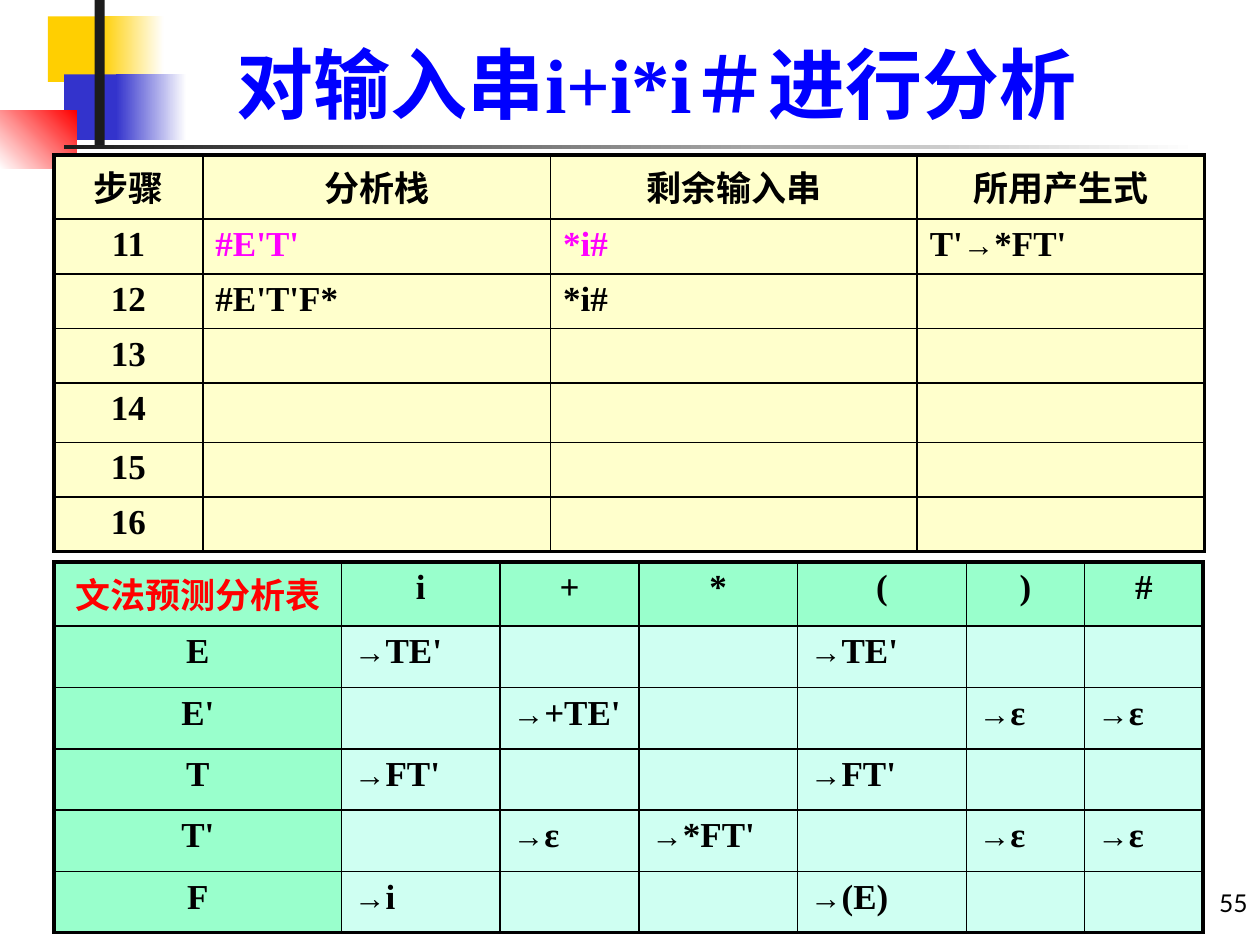
from dataclasses import dataclass

from pptx import Presentation, util as u
from pptx.dml.color import RGBColor
from pptx.enum import shapes, text
from pptx.oxml import parse_xml
from pptx.oxml.ns import nsdecls

# Slide grid: 100 columns by 75 rows of square units
WIDE, HIGH = u.Inches(10), u.Inches(7.5)
COLS, ROWS = 100, 75


@dataclass(frozen=True)
class Theme:
    serif: str = "Times New Roman"
    sans: str = "Lato"
    black: str = "000000"
    white: str = "FFFFFF"
    dark: str = "1C1C1C"
    gold: str = "FFCF01"
    navy: str = "3333CC"
    red: str = "FF0000"
    blue: str = "0000FF"
    pink: str = "FF00FF"
    cream: str = "FFFFCC"
    green: str = "99FFCC"
    mint: str = "CFFFF2"
    title: int = 44
    body: int = 20
    arrow: int = 18
    page: int = 14
    thick: float = 2.25
    thin: float = 1


T = Theme()


def across(n):
    return int(WIDE * n / COLS)


def down(n):
    return int(HIGH * n / ROWS)


def area(x, y, w, h):
    return across(x), down(y), across(w), down(h)


def style(par, size, color, face=T.serif, bold=True):
    font = par.font
    font.name, font.bold = face, bold
    font.color.rgb = RGBColor.from_string(color)
    if size:
        font.size = u.Pt(size)


def block(slide, box, first, last=None, angle=0):
    """Plain rectangle, shaded from first to last when both are given."""
    shape = slide.shapes.add_shape(shapes.MSO_SHAPE.RECTANGLE, *area(*box))
    shape.shadow.inherit = False
    shape.line.fill.background()
    if last is None:
        shape.fill.solid()
        shape.fill.fore_color.rgb = RGBColor.from_string(first)
        return
    shape.fill.gradient()
    shape.fill.gradient_angle = angle
    for stop, color in zip(shape.fill.gradient_stops, (first, last)):
        stop.color.rgb = RGBColor.from_string(color)


def head(slide, words):
    title = slide.shapes.title
    title.left, title.top, title.width, title.height = area(12.6, 2.3, 79.1, 8.4)
    frame = title.text_frame
    frame.text = words
    frame.auto_size = text.MSO_AUTO_SIZE.NONE
    frame.vertical_anchor = text.MSO_ANCHOR.BOTTOM
    par = frame.paragraphs[0]
    par.alignment = text.PP_ALIGN.CENTER
    style(par, T.title, T.blue)


def number(slide, words):
    """Page number in the margin to the right of the tables."""
    frame = slide.shapes.add_textbox(*area(95.8, 68.3, 4.2, 5)).text_frame
    frame.word_wrap = True
    frame.margin_left = 0
    frame.vertical_anchor = text.MSO_ANCHOR.BOTTOM
    par = frame.paragraphs[0]
    par.text = words
    par.alignment = text.PP_ALIGN.RIGHT
    style(par, T.page, T.black, T.sans, False)


def edge(cell, outer):
    """Cell borders, thick on the sides that lie on the table's outline."""
    props = cell._tc.get_or_add_tcPr()
    for side in "LRTB":
        width = u.Pt(T.thick if side in outer else T.thin)
        props.append(parse_xml(
            f'<a:ln{side} {nsdecls("a")} w="{width}"><a:solidFill>'
            f'<a:srgbClr val="{T.black}"/></a:solidFill></a:ln{side}>'))


def write(cell, words, color, center):
    """Cell text; arrows are set a little smaller than the rest."""
    par = cell.text_frame.paragraphs[0]
    par.alignment = text.PP_ALIGN.CENTER if center else text.PP_ALIGN.LEFT
    mixed = "→" in words
    style(par, None if mixed else T.body, color)
    for part in filter(None, words.partition("→")):
        run = par.add_run()
        run.text = part
        if mixed:
            run.font.size = u.Pt(T.arrow if part == "→" else T.body)


def grid(slide, spot, cols, rows, data, fill, lead, tints):
    """Table with a centred first row and column, filled with lead."""
    box = area(*spot, sum(cols), sum(rows))
    table = slide.shapes.add_table(len(rows), len(cols), *box).table
    table.first_row = table.horz_banding = False
    for col, width in zip(table.columns, cols):
        col.width = across(width)
    for row, height in zip(table.rows, rows):
        row.height = down(height)
    for r, line in enumerate(data):
        for c, words in enumerate(line):
            cell = table.cell(r, c)
            sides = {"L": c == 0, "R": c == len(cols) - 1,
                     "T": r == 0, "B": r == len(rows) - 1}
            edge(cell, [s for s, on in sides.items() if on])
            label = r == 0 or c == 0
            cell.fill.solid()
            cell.fill.fore_color.rgb = RGBColor.from_string(lead if label else fill)
            if words:
                write(cell, words, tints.get((r, c), T.black), label)
            else:  # keep empty cells from stretching their row
                cell.margin_top = cell.margin_bottom = 0
                style(cell.text_frame.paragraphs[0], T.arrow, T.black)


def main():
    deck = Presentation()
    deck.slide_width, deck.slide_height = WIDE, HIGH
    slide = deck.slides.add_slide(deck.slide_layouts[5])

    # Corner ornament and title rule
    block(slide, (3.8, 1.3, 6.7, 5.2), T.gold)
    block(slide, (8, 1.3, 5, 5.2), T.gold, T.white)
    block(slide, (5.1, 5.9, 6.4, 5.2), T.navy)
    block(slide, (9.2, 5.9, 5.6, 5.2), T.navy, T.white)
    block(slide, (0, 8.8, 6.1, 4.6), T.white, T.red, 45)
    block(slide, (7.5, 0, 0.8, 11.5), T.dark)
    block(slide, (5.1, 11.5, 90, 0.3), T.dark, T.white)

    number(slide, "55")
    head(slide, "对输入串i+i*i＃进行分析")

    # Grammar prediction table
    rules = [
        ["文法预测分析表", "i", "+", "*", "(", ")", "#"],
        ["E", "→TE'", "", "", "→TE'", "", ""],
        ["E'", "", "→+TE'", "", "", "→ε", "→ε"],
        ["T", "→FT'", "", "", "→FT'", "", ""],
        ["T'", "", "→ε", "→*FT'", "", "→ε", "→ε"],
        ["F", "→i", "", "", "→(E)", "", ""],
    ]
    grid(slide, (4.3, 44.6), [22.8, 12.6, 11, 12.6, 13.4, 9.4, 9.4],
         [5.1] + [4.87] * 5, rules, T.mint, T.green, {(0, 0): T.red})

    # Analysis steps
    steps = [
        ["步骤", "分析栈", "剩余输入串", "所用产生式"],
        ["11", "#E'T'", "*i#", "T'→*FT'"],
        ["12", "#E'T'F*", "*i#", ""],
    ] + [[str(n), "", "", ""] for n in range(13, 17)]
    grid(slide, (4.3, 12.3), [11.8, 27.6, 29.1, 22.8],
         [5.1, 4.1, 4.1, 4.1, 4.7, 4.1, 4.1], steps, T.cream, T.cream,
         {(1, 1): T.pink, (1, 2): T.pink})

    deck.save("out.pptx")


if __name__ == "__main__":
    main()
